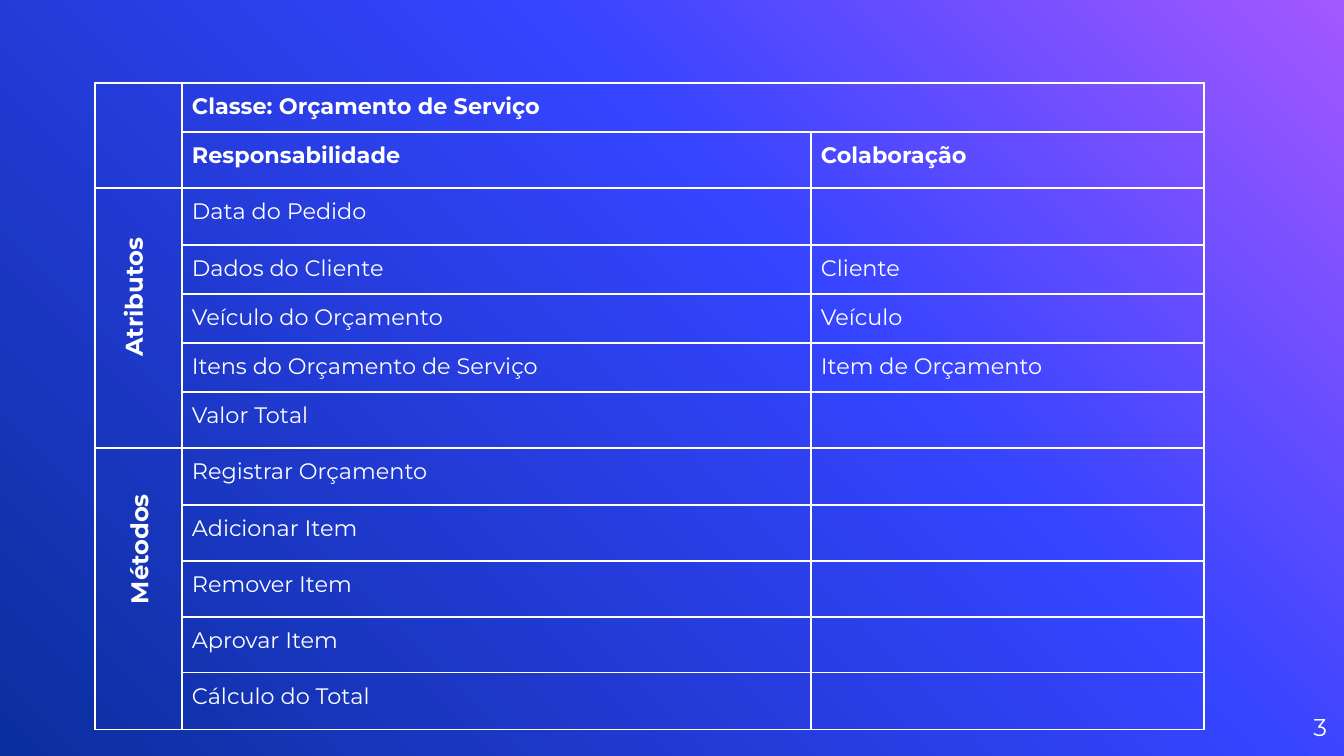
import copy

import pptx
import pptx.dml.color
import pptx.enum.text
import pptx.oxml
import pptx.oxml.ns
import pptx.util

PX = 914400 / 134.4
FONT = "Montserrat"
WHITE = "FFFFFF"
STOPS = [(0, "A458FF"), (0.39, "3544FF"), (1, "0A2F9E")]
COLS = [87, 629, 393]
ROWS = [
    (49, "Classe: Orçamento de Serviço", ""),
    (56, "Responsabilidade", "Colaboração"),
    (57, "Data do Pedido", ""),
    (49, "Dados do Cliente", "Cliente"),
    (49, "Veículo do Orçamento", "Veículo"),
    (49, "Itens do Orçamento de Serviço", "Item de Orçamento"),
    (56, "Valor Total", ""),
    (57, "Registrar Orçamento", ""),
    (56, "Adicionar Item", ""),
    (56, "Remover Item", ""),
    (56, "Aprovar Item", ""),
    (57, "Cálculo do Total", ""),
]
MERGES = [((0, 0), (1, 0)), ((0, 1), (0, 2)), ((2, 0), (6, 0)), ((7, 0), (11, 0))]


def px(n):
    return pptx.util.Emu(round(n * PX))


def rgb(value):
    return pptx.dml.color.RGBColor.from_string(value)


def format_text(tf, size, bold):
    for p in tf.paragraphs:
        for r in p.runs:
            r.font.name = FONT
            r.font.size = pptx.util.Pt(size)
            r.font.bold = bold
            r.font.color.rgb = rgb(WHITE)


def set_margins(obj, n):
    obj.margin_left = obj.margin_right = px(n)
    obj.margin_top = obj.margin_bottom = px(n)


def paint_background(s):
    fill = s.background.fill
    fill.gradient()
    fill.gradient_angle = 225
    gs_list = s.element.find(".//" + pptx.oxml.ns.qn("a:gsLst"))
    gs_list.append(copy.deepcopy(gs_list[0]))
    for stop, (position, color) in zip(fill.gradient_stops, STOPS):
        stop.position = position
        stop.color.rgb = rgb(color)


def add_text(s, box, text, margin=13, bold=False, rotation=0):
    sp = s.shapes.add_textbox(*map(px, box))
    sp.rotation = rotation
    tf = sp.text_frame
    tf.word_wrap = True
    set_margins(tf, margin)
    tf.text = text
    format_text(tf, 13, bold)
    return sp


def add_borders(cell):
    tc_pr = cell._tc.get_or_add_tcPr()
    for side in ("lnL", "lnR", "lnT", "lnB"):
        tc_pr.append(pptx.oxml.parse_xml(
            f'<a:{side} {pptx.oxml.ns.nsdecls("a")} w="9525"><a:solidFill>'
            f'<a:srgbClr val="{WHITE}"/></a:solidFill></a:{side}>'))


def add_class_table(s, x, y):
    height = sum(row[0] for row in ROWS)
    frame = s.shapes.add_table(len(ROWS), len(COLS), px(x), px(y), px(sum(COLS)), px(height))
    table = frame.table
    table.first_row = table.horz_banding = False
    for column, width in zip(table.columns, COLS):
        column.width = px(width)
    for i, (height, *texts) in enumerate(ROWS):
        table.rows[i].height = px(height)
        for j, text in enumerate(["", *texts]):
            cell = table.cell(i, j)
            add_borders(cell)
            cell.fill.background()
            set_margins(cell, 10 if text else 0)
            if text:
                cell.text_frame.text = text
                format_text(cell.text_frame, 12, i < 2)
    for first, last in MERGES:
        table.cell(*first).merge(table.cell(*last))


def add_class_card(s, x, y):
    add_class_table(s, x, y)
    add_text(s, (x - 30, y + 175, 152, 71), "Atributos", bold=True, rotation=270)
    add_text(s, (x - 26, y + 434, 142, 58), "Métodos", bold=True, rotation=270)


def add_slide_number(s, box, text):
    tf = add_text(s, box, text, margin=0).text_frame
    tf.vertical_anchor = pptx.enum.text.MSO_ANCHOR.MIDDLE
    tf.paragraphs[0].alignment = pptx.enum.text.PP_ALIGN.RIGHT


def main():
    prs = pptx.Presentation()
    prs.slide_width, prs.slide_height = px(1344), px(756)
    s = prs.slides.add_slide(prs.slide_layouts[6])
    paint_background(s)
    add_slide_number(s, (1246, 698, 81, 58), "3")
    add_class_card(s, 95, 83)
    prs.save("out.pptx")


if __name__ == "__main__":
    main()
